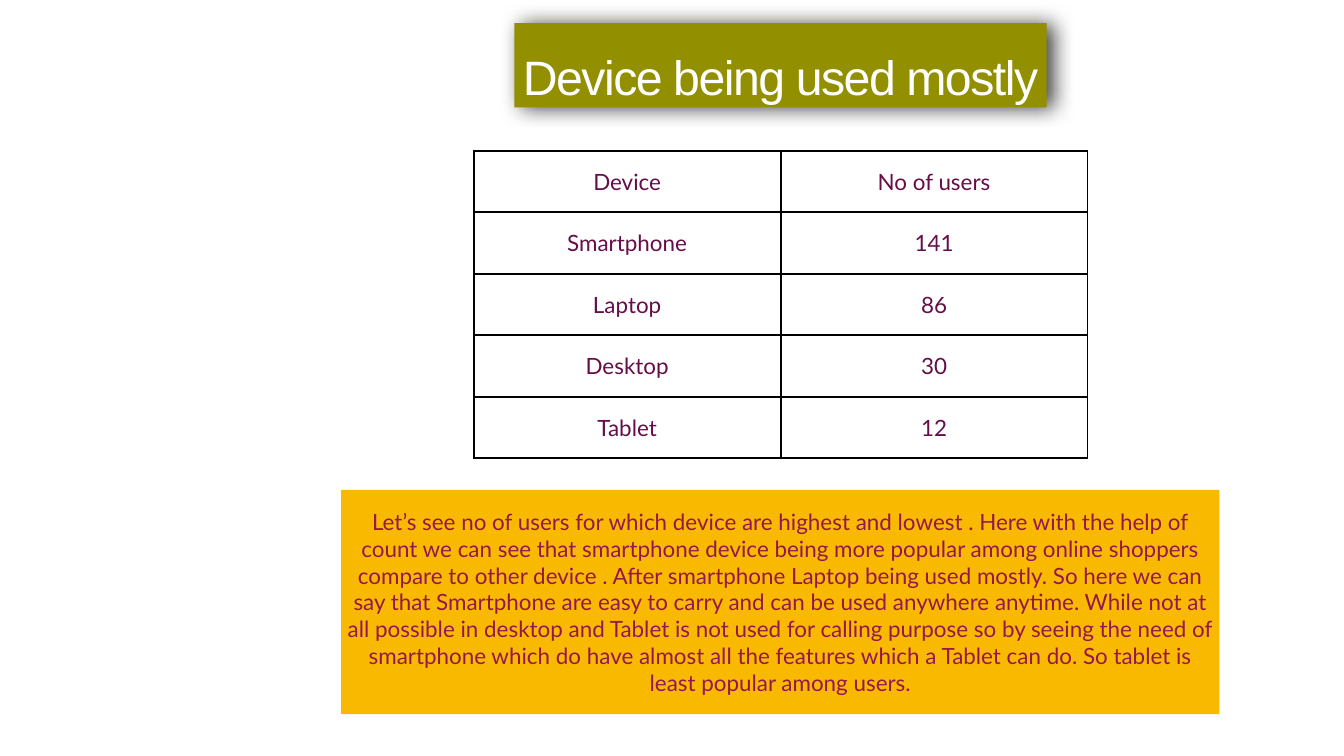
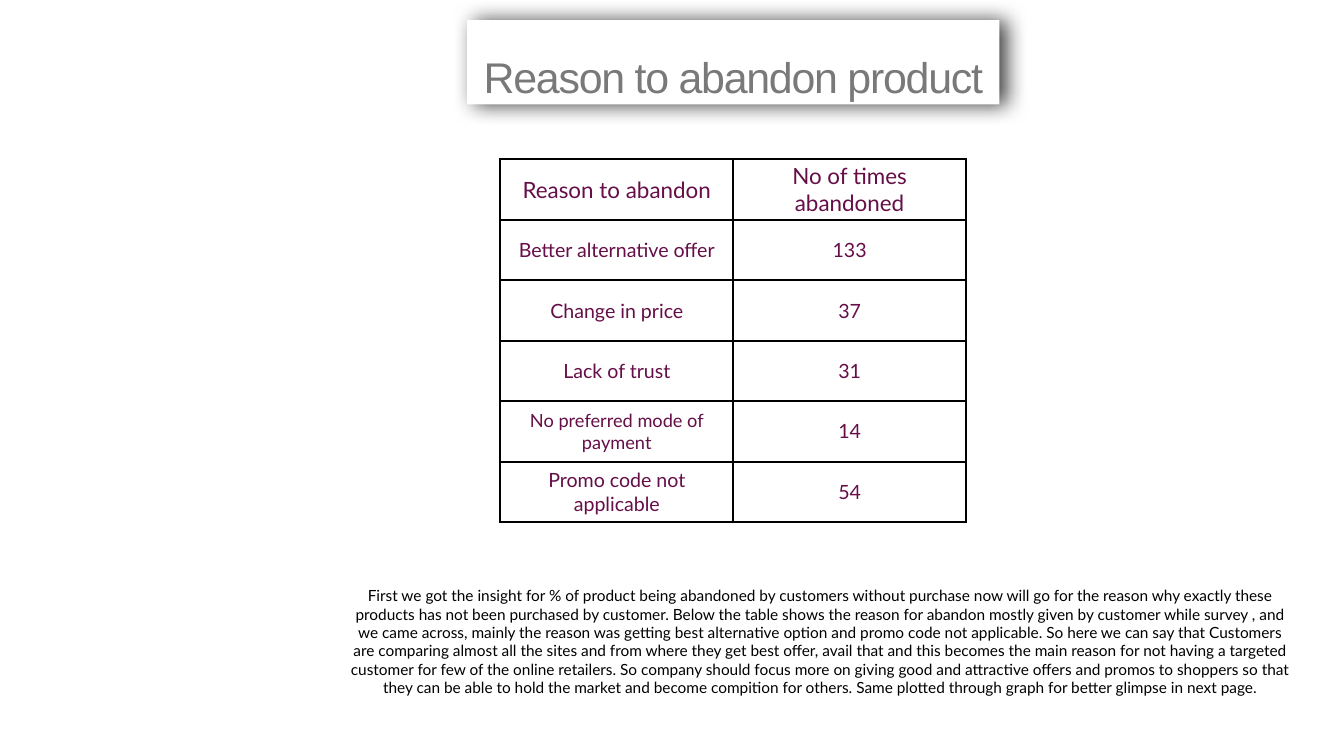
import pptx
import pptx.util
import pptx.dml.color
import pptx.enum.shapes
import pptx.enum.text
import pptx.oxml
import pptx.oxml.ns
from dataclasses import dataclass
from pptx.util import Inches, Pt

PLUM = "650E47"
WHITE = "FFFFFF"
BLACK = "000000"
INSET = Inches(0.06)
NS = 'xmlns:a="http://schemas.openxmlformats.org/drawingml/2006/main"'
CENTER = pptx.enum.text.PP_ALIGN.CENTER
ANCHOR = pptx.enum.text.MSO_ANCHOR


@dataclass
class Title:
    text: str
    left: float
    top: float
    fill: str
    size: float
    spread: float  # letter spacing in points
    fade: tuple[str, str]


@dataclass
class Row:
    label: str
    count: str
    size: int = 32
    small: int = 0  # label size, where it differs


@dataclass
class Grid:
    left: float
    top: float
    width: float
    height: float
    rows: list[Row]


@dataclass
class Note:
    lines: list[str]  # sentences of one paragraph
    box: tuple[float, float, float, float]
    fill: str
    ink: str
    size: int


@dataclass
class Page:
    title: Title
    grid: Grid
    note: Note


PAGES = [
    Page(
        Title("Device being used mostly", 10.21, 0.46, "929000", 68.9, -2.1,
              (WHITE, "FFFC79")),
        Grid(9.4, 2.99, 6.09, 1.22, [
            Row("Device", "No of users"),
            Row("Smartphone", "141"),
            Row("Laptop", "86"),
            Row("Desktop", "30"),
            Row("Tablet", "12"),
        ]),
        Note([
            "Let’s see no of users for which device are highest and lowest .",
            "Here with the help of count we can see that smartphone device "
            "being more popular among online shoppers compare to other device .",
            "After smartphone Laptop being used mostly.",
            "So here we can say that Smartphone are easy to carry and can be "
            "used anywhere anytime.",
            "While not at all possible in desktop and Tablet is not used for "
            "calling purpose so by seeing the need of smartphone which do have "
            "almost all the features which a Tablet can do.",
            "So tablet is least popular among users.",
        ], (6.77, 9.72, 17.43, 4.45), "F9B900", "941751", 32),
    ),
    Page(
        Title("Reason to abandon product", 9.27, 0.4, WHITE, 61.3, -1.8,
              ("797979", "929292")),
        Grid(9.93, 3.16, 4.62, 1.2, [
            Row("Reason to abandon", "No of times abandoned"),
            Row("Better alternative offer", "133", 28),
            Row("Change in price", "37", 28),
            Row("Lack of trust", "31", 28),
            Row("No preferred mode of payment", "14", 28, 26),
            Row("Promo code not applicable", "54", 28),
        ]),
        Note([
            "First we got the insight for % of product being abandoned by "
            "customers without purchase now will go for the reason why exactly "
            "these products has not been purchased by customer.",
            "Below the table shows the reason for abandon mostly given by "
            "customer while survey , and we came across, mainly the reason was "
            "getting best alternative option and promo code not applicable.",
            "So here we can say that Customers are comparing almost all the "
            "sites and from where they get best offer, avail that and this "
            "becomes the main reason for not having a targeted customer for "
            "few of the online retailers.",
            "So company should focus more on giving good and attractive offers "
            "and promos to shoppers so that they can be able to hold the "
            "market and become compition for others.",
            "Same plotted through graph for better glimpse in next page.",
        ], (6.82, 10.98, 18.9, 3.5), WHITE, BLACK, 22),
    ),
]


def color(code: str) -> pptx.dml.color.RGBColor:
    return pptx.dml.color.RGBColor.from_string(code)


def inset(part) -> None:
    """Give a text frame or a table cell the common margins."""
    part.margin_left = part.margin_right = INSET
    part.margin_top = part.margin_bottom = INSET


def write(frame, text: str, face: str, size: float, ink: str):
    """Set one centred paragraph and return its run."""
    frame.text = text
    frame.word_wrap = True
    para = frame.paragraphs[0]
    para.alignment = CENTER
    run = para.runs[0]
    run.font.name = face
    run.font.size = Pt(size)
    run.font.color.rgb = color(ink)
    return run


def add_box(slide, box: tuple[float, float, float, float], fill: str):
    shape = slide.shapes.add_shape(
        pptx.enum.shapes.MSO_SHAPE.RECTANGLE, *map(Inches, box))
    shape.shadow.inherit = False
    shape.fill.solid()
    shape.fill.fore_color.rgb = color(fill)
    shape.line.fill.background()
    inset(shape.text_frame)
    return shape


def add_title(slide, title: Title) -> None:
    shape = add_box(slide, (title.left, title.top, 10.56, 1.67), title.fill)
    frame = shape.text_frame
    run = write(frame, title.text, "Arial", title.size, title.fade[0])
    frame.vertical_anchor = ANCHOR.BOTTOM
    frame.paragraphs[0].line_spacing = 0.8
    run._r.get_or_add_rPr().set("spc", str(round(title.spread * 100)))

    # Top to bottom fade of the letters
    fill = run.font.fill
    fill.gradient()
    fill.gradient_angle = 270
    for stop, code in zip(fill.gradient_stops, title.fade):
        stop.color.rgb = color(code)

    # Soft shadow to the right
    glow = shape._element.spPr.find(pptx.oxml.ns.qn("a:effectLst"))
    glow.append(pptx.oxml.parse_xml(
        f'<a:outerShdw {NS} blurRad="{Pt(30)}" dist="{Pt(9.4)}" dir="0" '
        f'algn="ctr" rotWithShape="0"><a:srgbClr val="{BLACK}">'
        '<a:alpha val="75000"/></a:srgbClr></a:outerShdw>'))


def add_edges(cell) -> None:
    props = cell._tc.get_or_add_tcPr()
    for spot, side in enumerate("LRTB"):
        props.insert(spot, pptx.oxml.parse_xml(
            f'<a:ln{side} {NS} w="{Pt(3)}"><a:solidFill>'
            f'<a:srgbClr val="{BLACK}"/></a:solidFill></a:ln{side}>'))


def add_grid(slide, grid: Grid) -> None:
    table = slide.shapes.add_table(
        len(grid.rows), 2, Inches(grid.left), Inches(grid.top),
        Inches(2 * grid.width), Inches(len(grid.rows) * grid.height)).table
    table.first_row = table.horz_banding = False
    for col in table.columns:
        col.width = Inches(grid.width)
    for line, row in zip(table.rows, grid.rows):
        line.height = Inches(grid.height)
        sizes = (row.small or row.size, row.size)
        for cell, text, size in zip(line.cells, (row.label, row.count), sizes):
            write(cell.text_frame, text, "Lato", size, PLUM)
            inset(cell)
            cell.vertical_anchor = ANCHOR.MIDDLE
            cell.fill.background()
            add_edges(cell)


def add_note(slide, note: Note) -> None:
    frame = add_box(slide, note.box, note.fill).text_frame
    write(frame, " ".join(note.lines), "Lato", note.size, note.ink)
    frame.vertical_anchor = ANCHOR.MIDDLE


def main() -> None:
    deck = pptx.Presentation()
    deck.slide_width = Inches(26.67)
    deck.slide_height = Inches(15)
    for page in PAGES:
        slide = deck.slides.add_slide(deck.slide_layouts[6])
        add_note(slide, page.note)
        add_grid(slide, page.grid)
        add_title(slide, page.title)
    deck.save("out.pptx")


if __name__ == "__main__":
    main()
